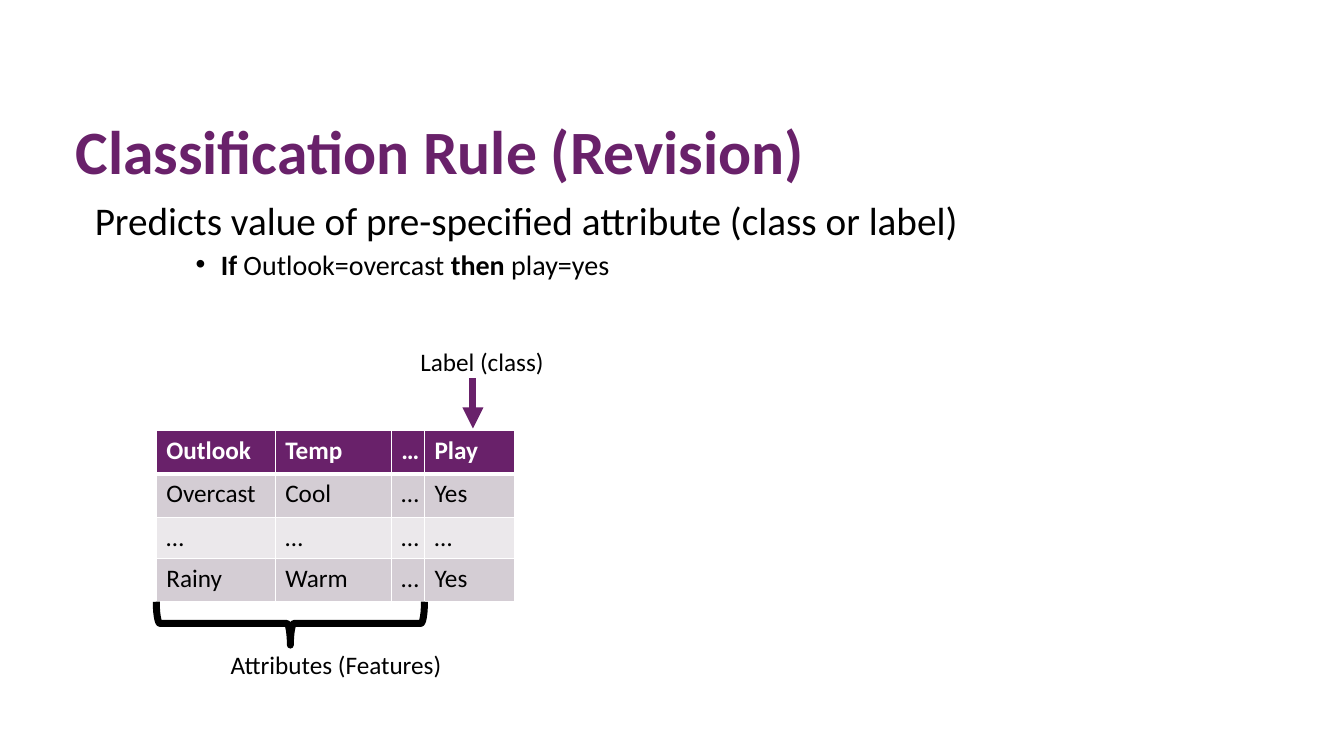
import pptx
import pptx.util
import pptx.dml.color
import pptx.enum.shapes
import pptx.enum.text
from dataclasses import dataclass
from lxml import etree

HEADING = "Classification Rule (Revision)"
STATEMENT = "Predicts value of pre-specified attribute (class or label)"
RULE = [("If", True), (" Outlook=overcast ", False), ("then", True), (" play=yes", False)]
WEATHER = [
    ("Outlook", "Temp", "…", "Play"),
    ("Overcast", "Cool", "…", "Yes"),
    ("…", "…", "…", "…"),
    ("Rainy", "Warm", "…", "Yes"),
]
COLUMNS = (1.18, 1.15, 0.33, 0.89)
ROWS = (0.43, 0.43, 0.41, 0.43)
ATTRIBUTE_COUNT = 3
GRID_LEFT, GRID_TOP = 1.55, 4.27
SLIDE_SIZE = (13.33, 7.5)


@dataclass(frozen=True)
class Theme:
    font: str = "Calibri"
    accent: str = "69216A"
    ink: str = "000000"
    paper: str = "FFFFFF"
    bands: tuple = ("D4CDD4", "EBE8EB")
    title: int = 44
    lead: int = 28
    rule: int = 20
    small: int = 18
    heavy: int = 5


THEME = Theme()
MSO_ANCHOR = pptx.enum.text.MSO_ANCHOR
PP_ALIGN = pptx.enum.text.PP_ALIGN
MSO_SHAPE = pptx.enum.shapes.MSO_SHAPE
inch = pptx.util.Inches
qn = pptx.oxml.ns.qn


def rgb(value):
    return pptx.dml.color.RGBColor.from_string(value)


def style(paragraph, size, color=THEME.ink, bold=None):
    paragraph.font.name = THEME.font
    paragraph.font.size = pptx.util.Pt(size)
    paragraph.font.color.rgb = rgb(color)
    paragraph.font.bold = bold


def place(part, left, top, width, height):
    part.left, part.top = inch(left), inch(top)
    part.width, part.height = inch(width), inch(height)


def bullet(paragraph, left, indent, mark=None):
    properties = paragraph._p.get_or_add_pPr()
    properties.set("marL", str(inch(left)))
    properties.set("indent", str(inch(indent)))
    if mark:
        etree.SubElement(properties, qn("a:buFont"), typeface="Arial")
        etree.SubElement(properties, qn("a:buChar"), char=mark)
    else:
        etree.SubElement(properties, qn("a:buNone"))


def border(cell, header):
    properties = cell._tc.get_or_add_tcPr()
    for position, side in enumerate(("lnL", "lnR", "lnT", "lnB")):
        weight = 3 if header and side == "lnB" else 1
        edge = etree.Element(qn("a:" + side), w=str(pptx.util.Pt(weight)))
        fill = etree.SubElement(edge, qn("a:solidFill"))
        etree.SubElement(fill, qn("a:srgbClr"), val=THEME.paper)
        properties.insert(position, edge)


def add_text(slide):
    heading = slide.shapes.title
    place(heading, 0.65, 1.12, 11.5, 0.83)
    heading.text_frame.text = HEADING
    heading.text_frame.vertical_anchor = MSO_ANCHOR.MIDDLE
    title_line = heading.text_frame.paragraphs[0]
    title_line.alignment = PP_ALIGN.LEFT
    title_line.line_spacing = 0.9
    style(title_line, THEME.title, THEME.accent, True)

    body = slide.placeholders[1]
    place(body, 0.84, 1.95, 12.02, 1.49)
    body.text_frame.text = STATEMENT
    statement = body.text_frame.paragraphs[0]
    statement.line_spacing = 0.9
    statement.space_before = pptx.util.Pt(0)
    bullet(statement, 0, 0)
    style(statement, THEME.lead)

    rule = body.text_frame.add_paragraph()
    rule.level = 2
    rule.line_spacing = 0.9
    rule.space_before = pptx.util.Pt(5)
    bullet(rule, 1.25, -0.25, "•")
    style(rule, THEME.rule)
    for words, bold in RULE:
        run = rule.add_run()
        run.text = words
        run.font.bold = bold


def add_weather(slide):
    grid = slide.shapes.add_table(
        len(ROWS), len(COLUMNS), inch(GRID_LEFT), inch(GRID_TOP),
        inch(sum(COLUMNS)), inch(sum(ROWS))).table
    for column, width in zip(grid.columns, COLUMNS):
        column.width = inch(width)
    for index, (row, height, values) in enumerate(zip(grid.rows, ROWS, WEATHER)):
        row.height = inch(height)
        header = index == 0
        for cell, value in zip(row.cells, values):
            cell.text = value
            cell.fill.solid()
            cell.fill.fore_color.rgb = rgb(THEME.accent if header else THEME.bands[(index - 1) % 2])
            style(cell.text_frame.paragraphs[0], THEME.small,
                  THEME.paper if header else THEME.ink, header)
            border(cell, header)


def add_caption(slide, words, left, top, width):
    caption = slide.shapes.add_textbox(inch(left), inch(top), inch(width), inch(0.4))
    caption.text_frame.text = words
    caption.text_frame.word_wrap = False
    caption.text_frame.auto_size = pptx.enum.text.MSO_AUTO_SIZE.SHAPE_TO_FIT_TEXT
    style(caption.text_frame.paragraphs[0], THEME.small)


def add_attributes(slide):
    span, depth = sum(COLUMNS[:ATTRIBUTE_COUNT]), 0.43
    center_x = GRID_LEFT + span / 2
    center_y = GRID_TOP + sum(ROWS) + depth / 2
    brace = slide.shapes.add_shape(
        MSO_SHAPE.RIGHT_BRACE, inch(center_x - depth / 2), inch(center_y - span / 2),
        inch(depth), inch(span))
    brace.rotation = 90
    brace.shadow.inherit = False
    brace.fill.background()
    brace.line.color.rgb = rgb(THEME.ink)
    brace.line.width = pptx.util.Pt(THEME.heavy)
    add_caption(slide, "Attributes (Features)", 2.19, 6.39, 2.32)


def add_label(slide):
    x = GRID_LEFT + sum(COLUMNS[:ATTRIBUTE_COUNT]) + 0.54 * COLUMNS[-1]
    arrow = slide.shapes.add_connector(
        pptx.enum.shapes.MSO_CONNECTOR.STRAIGHT, inch(x), inch(3.75), inch(x), inch(4.25))
    arrow.line.color.rgb = rgb(THEME.accent)
    arrow.line.width = pptx.util.Pt(THEME.heavy)
    etree.SubElement(arrow.line._get_or_add_ln(), qn("a:tailEnd"), type="triangle")
    etree.SubElement(arrow._element.spPr, qn("a:effectLst"))
    add_caption(slide, "Label (class)", 4.07, 3.39, 1.44)


def main():
    deck = pptx.Presentation()
    deck.slide_width, deck.slide_height = map(inch, SLIDE_SIZE)
    slide = deck.slides.add_slide(deck.slide_layouts[1])
    add_text(slide)
    add_weather(slide)
    add_attributes(slide)
    add_label(slide)
    deck.save("out.pptx")


if __name__ == "__main__":
    main()
